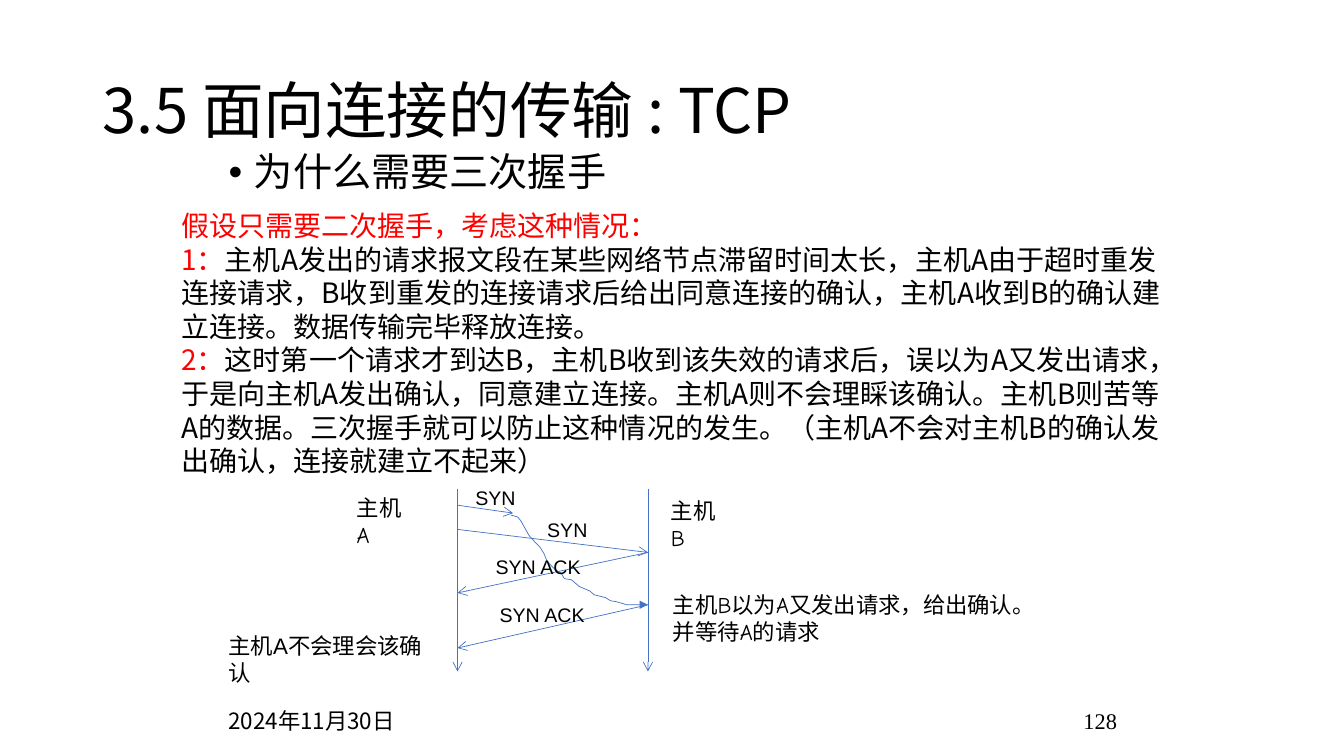
from lxml.etree import SubElement
from pptx import Presentation
from pptx.dml.color import RGBColor
from pptx.enum.shapes import MSO_CONNECTOR
from pptx.enum.text import MSO_ANCHOR, PP_ALIGN
from pptx.oxml.ns import qn
from pptx.util import Cm, Pt

COLORS = {"ink": "000000", "accent": "FF0000", "flow": "4472C4"}
CJK = "Noto Sans CJK SC"
SCENARIO = [
    [("假设只需要二次握手，考虑这种情况：", "accent")],
    [("1：", "accent"),
     ("主机A发出的请求报文段在某些网络节点滞留时间太长，主机A由于超时重发连接请求，"
      "B收到重发的连接请求后给出同意连接的确认，主机A收到B的确认建立连接。"
      "数据传输完毕释放连接。", "ink")],
    [("2：", "accent"),
     ("这时第一个请求才到达B，主机B收到该失效的请求后，误以为A又发出请求，"
      "于是向主机A发出确认，同意建立连接。主机A则不会理睬该确认。"
      "主机B则苦等A的数据。三次握手就可以防止这种情况的发生。"
      "（主机A不会对主机B的确认发出确认，连接就建立不起来）", "ink")],
]
DELAYED_PATH = [
    (1.35, 0.66), (1.52, 0.71), (1.6, 0.81), (1.8, 1.17), (1.98, 1.37),
    (2.08, 1.47), (2.18, 1.63), (2.26, 1.83), (2.46, 2.03), (2.62, 2.13),
    (2.69, 2.26), (2.87, 2.29), (3.07, 2.46), (3.33, 2.57), (3.45, 2.67),
    (3.73, 2.74), (3.86, 2.82), (3.99, 2.84), (4.27, 2.92), (4.8, 2.92),
]


def color(key):
    return RGBColor.from_string(COLORS[key])


def write(slide, box, paragraphs, size, font=CJK, wrap=True,
          anchor=MSO_ANCHOR.TOP, align=PP_ALIGN.LEFT, spacing=None):
    frame = slide.shapes.add_textbox(*map(Cm, box)).text_frame
    for name, value in {"word_wrap": wrap, "vertical_anchor": anchor}.items():
        setattr(frame, name, value)
    for index, runs in enumerate(paragraphs):
        paragraph = frame.add_paragraph() if index else frame.paragraphs[0]
        for name, value in {"alignment": align, "line_spacing": spacing}.items():
            setattr(paragraph, name, value)
        for words, ink in runs:
            run = paragraph.add_run()
            run.text = words
            for name, value in {"size": Pt(size), "name": font}.items():
                setattr(run.font, name, value)
            run.font.color.rgb = color(ink)
            SubElement(run.font._element, qn("a:ea"), typeface=CJK)
    return frame


def plain(*lines):
    return [[(line, "ink")] for line in lines]


def style_flow(line, head):
    line.color.rgb = color("flow")
    line.width = Pt(0.5)
    SubElement(line._get_or_add_ln(), qn("a:tailEnd"), type=head)


def heading(slide, box):
    left, top, width, height = box
    write(slide, box, plain("3.5 面向连接的传输 : TCP"), 44,
          anchor=MSO_ANCHOR.MIDDLE, spacing=0.9)
    topic = write(slide, (left + 3.17, top + 2.71, 22.86, 1.6),
                  plain("为什么需要三次握手"), 28, spacing=0.9)
    properties = topic.paragraphs[0]._p.get_or_add_pPr()
    properties.set("marL", str(Cm(0.64)))
    properties.set("indent", str(-Cm(0.64)))
    SubElement(properties, qn("a:buFont"), typeface="Arial")
    SubElement(properties, qn("a:buChar"), char="•")


def scenario(slide, box):
    write(slide, box, SCENARIO, 20)


def handshake(slide, box):
    left, top, width, height = box
    arrows = [
        ((0, 0), (0, height)),
        ((width, 0), (width, height)),
        ((0, 0.41), (1.4, 0.61)),
        ((0, 1.02), (width, 1.6)),
        ((width, 1.6), (0, 2.62)),
        ((width, 2.92), (0, 4.01)),
    ]
    for (x1, y1), (x2, y2) in arrows:
        arrow = slide.shapes.add_connector(
            MSO_CONNECTOR.STRAIGHT, Cm(left + x1), Cm(top + y1),
            Cm(left + x2), Cm(top + y2))
        style_flow(arrow.line, "arrow")
        SubElement(arrow._element.spPr, qn("a:effectLst"))

    points = [(Cm(left + x), Cm(top + y)) for x, y in DELAYED_PATH]
    builder = slide.shapes.build_freeform(*points[0])
    builder.add_line_segments(points[1:], close=False)
    delayed = builder.convert_to_shape()
    delayed.fill.background()
    style_flow(delayed.line, "triangle")
    delayed.shadow.inherit = False

    labels = [
        (-2.79, 0, 1.7, 0.94, ["主机A"], 16, "Comic Neue", True),
        (5.13, 0.08, 1.7, 0.94, ["主机B"], 16, "Comic Neue", True),
        (0.2, -0.2, 1.55, 0.86, ["SYN"], 14, "Arial", False),
        (2.01, 0.61, 1.55, 0.86, ["SYN"], 14, "Arial", False),
        (0.71, 1.55, 2.69, 0.86, ["SYN ACK"], 14, "Arial", False),
        (0.81, 2.74, 2.69, 0.86, ["SYN ACK"], 14, "Arial", False),
        (5.18, 2.46, 9.83, 1.63,
         ["主机B以为A又发出请求，给出确认。", "并等待A的请求"], 16, "Comic Neue", False),
        (-6.02, 3.48, 5.9, 0.94, ["主机A不会理会该确认"], 16, "Arial", True),
    ]
    for x, y, w, h, lines, size, font, wrap in labels:
        write(slide, (left + x, top + y, w, h), plain(*lines), size, font, wrap)


def footer(slide, box):
    left, top, width, height = box
    write(slide, (left, top, 5.92, height), plain("2024年11月30日"), 16,
          anchor=MSO_ANCHOR.BOTTOM)
    write(slide, (left + width - 8.05, top, 8.05, height), plain("128"), 16,
          "Times New Roman", anchor=MSO_ANCHOR.BOTTOM, align=PP_ALIGN.RIGHT)


def main():
    deck = Presentation()
    deck.slide_width, deck.slide_height = Cm(33.87), Cm(19.05)
    slide = deck.slides.add_slide(deck.slide_layouts[6])
    footer(slide, (5.51, 17.34, 22.89, 1.27))
    heading(slide, (2.34, 1.02, 29.21, 3.68))
    scenario(slide, (4.32, 5.13, 25.2, 7.09))
    handshake(slide, (11.53, 12.32, 4.8, 4.6))
    deck.save("out.pptx")


if __name__ == "__main__":
    main()
